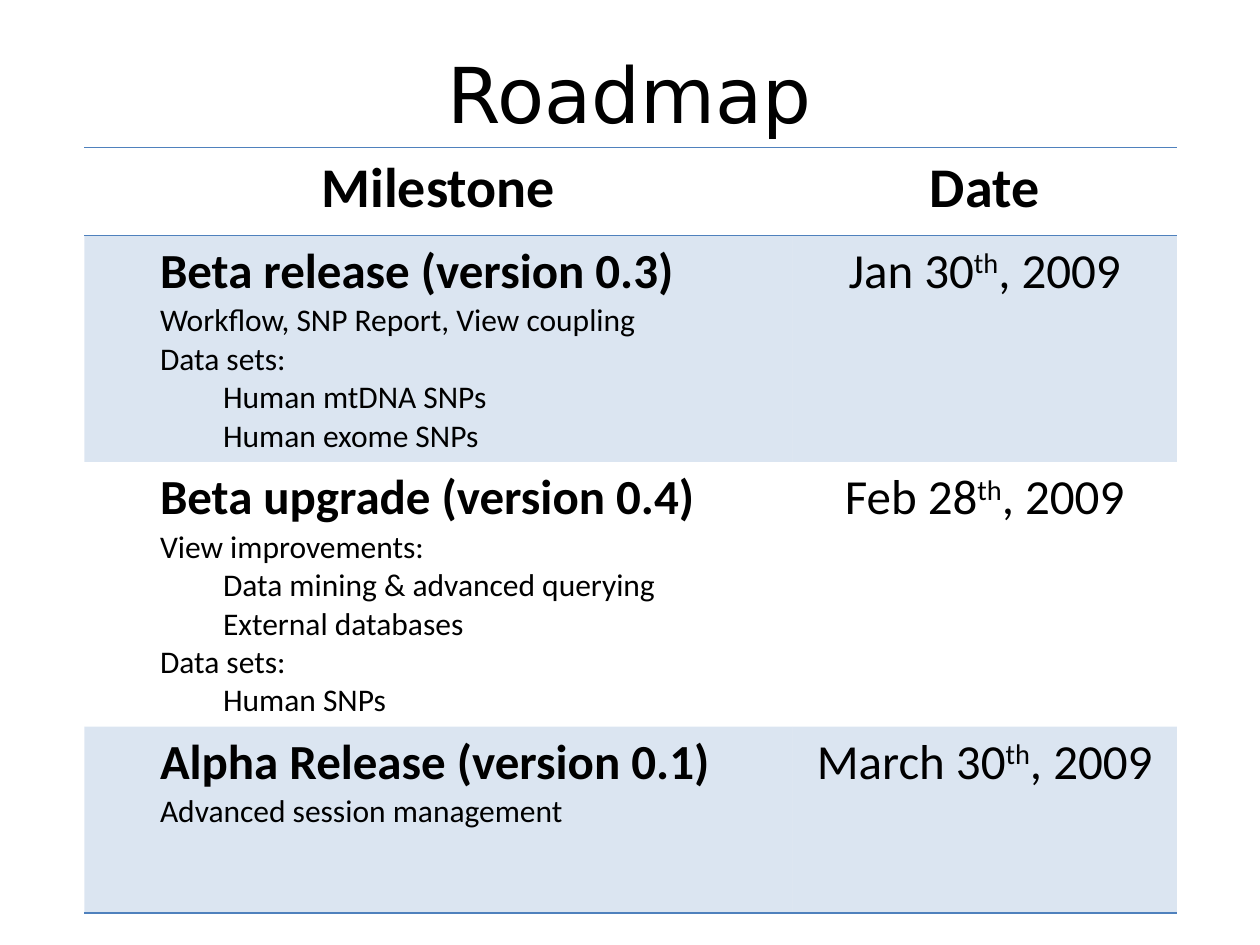
"""Build the Roadmap slide with its milestone table."""
from pptx import Presentation
from pptx.dml.color import RGBColor
from pptx.enum.text import MSO_ANCHOR, PP_ALIGN
from pptx.oxml import parse_xml
from pptx.oxml.ns import nsdecls, qn
from pptx.util import Inches, Pt

COLORS = {"text": "000000", "accent": "4F81BD"}
NO_STYLE = "{2D5ABB26-0587-4C30-8999-92F81FD0307C}"
COLUMN_WIDTHS = [5.62, 3.05]
ROW_HEIGHTS = [0.7, 1.79, 2.1, 1.48]
HEADERS = ["Milestone", "Date"]
MILESTONES = [
    ("Beta release (version 0.3)", ["Jan 30", "th", ", 2009"],
     [(1, "Workflow, SNP Report, View coupling"), (1, "Data sets:"),
      (2, "Human mtDNA SNPs"), (2, "Human exome SNPs")]),
    ("Beta upgrade (version 0.4)", ["Feb 28", "th", ", 2009"],
     [(1, "View improvements:"), (2, "Data mining & advanced querying"),
      (2, "External databases"), (1, "Data sets:"), (2, "Human SNPs")]),
    ("Alpha Release (version 0.1)", ["March 30", "th", ", 2009"],
     [(1, "Advanced session management")]),
]


def add_run(paragraph, text, size, bold=False, name="Calibri"):
    run = paragraph.add_run()
    run.text = text
    run.font.name = name
    run.font.size = Pt(size)
    run.font.bold = bold
    run.font.color.rgb = RGBColor.from_string(COLORS["text"])
    return run


def add_border(cell, edge):
    cell._tc.get_or_add_tcPr().insert(0, parse_xml(
        f'<a:{edge} {nsdecls("a")} w="12700"><a:solidFill>'
        f'<a:srgbClr val="{COLORS["accent"]}"/></a:solidFill></a:{edge}>'))


presentation = Presentation()
presentation.slide_width = Inches(10)
presentation.slide_height = Inches(7.5)
slide = presentation.slides.add_slide(presentation.slide_layouts[0])
subtitle = slide.placeholders[1]
subtitle.element.getparent().remove(subtitle.element)

title = slide.shapes.title
title.left, title.top = Inches(0.58), Inches(0.32)
title.width, title.height = Inches(8.83), Inches(0.83)
title.text_frame.vertical_anchor = MSO_ANCHOR.MIDDLE
title_paragraph = title.text_frame.paragraphs[0]
title_paragraph.alignment = PP_ALIGN.CENTER
add_run(title_paragraph, "Roadmap", 44, name="DejaVu Sans")

frame = slide.shapes.add_table(
    len(ROW_HEIGHTS), len(COLUMN_WIDTHS), Inches(0.67), Inches(1.17),
    Inches(sum(COLUMN_WIDTHS)), Inches(sum(ROW_HEIGHTS)))
table = frame.table
table.first_row = table.horz_banding = False
table._tbl.tblPr.find(qn("a:tableStyleId")).text = NO_STYLE
for column, width in zip(table.columns, COLUMN_WIDTHS):
    column.width = Inches(width)
for row, height in zip(table.rows, ROW_HEIGHTS):
    row.height = Inches(height)

for column_index, header in enumerate(HEADERS):
    paragraph = table.cell(0, column_index).text_frame.paragraphs[0]
    paragraph.alignment = PP_ALIGN.CENTER
    add_run(paragraph, header, 32, bold=True)

for row_index, (milestone, date_parts, details) in enumerate(MILESTONES, 1):
    text_frame = table.cell(row_index, 0).text_frame
    for line_index, (level, text) in enumerate([(1, milestone)] + details):
        is_heading = line_index == 0
        paragraph = text_frame.paragraphs[0] if is_heading else text_frame.add_paragraph()
        paragraph.level = level
        properties = paragraph._p.get_or_add_pPr()
        properties.set("marL", str(Inches(0.5 * level)))
        properties.set("indent", "0")
        add_run(paragraph, text, 28 if is_heading else 18, bold=is_heading)
    paragraph = table.cell(row_index, 1).text_frame.paragraphs[0]
    paragraph.alignment = PP_ALIGN.CENTER
    for part in date_parts:
        run = add_run(paragraph, part, 28)
        if part == "th":
            run._r.get_or_add_rPr().set("baseline", "30000")

last_row = len(ROW_HEIGHTS) - 1
for row_index, row in enumerate(table.rows):
    for cell in row.cells:
        if row_index % 2:
            cell.fill.solid()
            cell.fill.fore_color.rgb = RGBColor.from_string(COLORS["accent"])
            color = cell._tc.tcPr.find(".//" + qn("a:srgbClr"))
            color.append(parse_xml(f'<a:alpha {nsdecls("a")} val="20000"/>'))
        else:
            cell.fill.background()
        if row_index in (0, last_row):
            add_border(cell, "lnB")
        if row_index == 0:
            add_border(cell, "lnT")

presentation.save("out.pptx")
